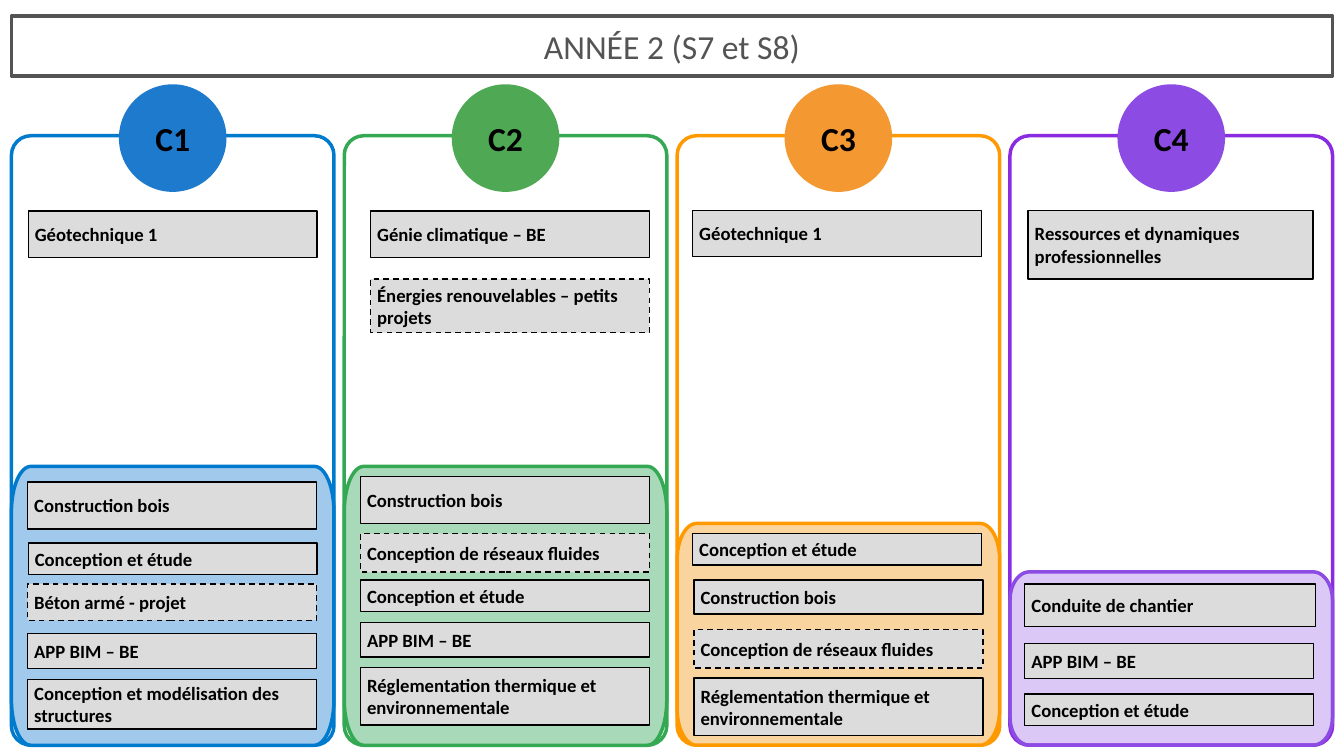
from math import cos, pi, sin

from lxml import etree
from pptx import Presentation
from pptx.dml.color import RGBColor
from pptx.enum.dml import MSO_LINE
from pptx.enum.shapes import MSO_SHAPE
from pptx.enum.text import MSO_ANCHOR, MSO_AUTO_SIZE, PP_ALIGN
from pptx.oxml.ns import qn
from pptx.util import Inches, Pt

RECT, ROUND, OVAL = MSO_SHAPE.RECTANGLE, MSO_SHAPE.ROUNDED_RECTANGLE, MSO_SHAPE.OVAL
LEFT, CENTER = PP_ALIGN.LEFT, PP_ALIGN.CENTER
MIDDLE, FIXED = MSO_ANCHOR.MIDDLE, MSO_AUTO_SIZE.NONE
DASH = MSO_LINE.DASH

WIDE, HIGH = 20, 11.25
EDGE, TOP, BASE = 0.17, 2.02, 11.09
COL_W, DISC = 4.8, 1.57
PITCH = (WIDE - 2 * EDGE - COL_W) / 3
CURVE = 0.29

COLORS = {
    "title": "545454", "black": "000000", "box": "DDDCDC",
    "C1": "007ACC", "C1 disc": "1E7ACC", "C1 pool": "A0C9EB",
    "C2": "34A853", "C2 disc": "4FA954", "C2 pool": "A8DAB9",
    "C3": "FF9900", "C3 disc": "F49831", "C3 pool": "FAD49E",
    "C4": "8A2BE2", "C4 disc": "8C4BE2", "C4 pool": "8C4BE2",
}

# Per column: name, top of the pool, opacity of the pool, and its courses
# as (text, shift from the column's left, top, width, height, dashed).
COLUMNS = [
    ("C1", 6.94, 100, [
        ("Géotechnique 1", 0.25, 3.14, 4.3, 0.69, False),
        ("Construction bois", 0.24, 7.17, 4.3, 0.7, False),
        ("Conception et étude", 0.25, 8.08, 4.3, 0.47, False),
        ("Béton armé - projet", 0.24, 8.69, 4.3, 0.54, True),
        ("APP BIM – BE", 0.24, 9.43, 4.3, 0.52, False),
        ("Conception et modélisation des structures", 0.24, 10.11, 4.3, 0.74, False),
    ]),
    ("C2", 6.94, 100, [
        ("Génie climatique – BE", 0.39, 3.14, 4.15, 0.69, False),
        ("Énergies renouvelables – petits projets", 0.39, 4.15, 4.15, 0.8, True),
        ("Construction bois", 0.24, 7.09, 4.3, 0.7, False),
        ("Conception de réseaux fluides", 0.24, 7.94, 4.3, 0.57, True),
        ("Conception et étude", 0.24, 8.63, 4.3, 0.47, False),
        ("APP BIM – BE", 0.24, 9.26, 4.3, 0.52, False),
        ("Réglementation thermique et environnementale", 0.24, 9.93, 4.3, 0.86, False),
    ]),
    ("C3", 7.79, 100, [
        ("Géotechnique 1", 0.23, 3.13, 4.3, 0.69, False),
        ("Conception et étude", 0.23, 7.94, 4.3, 0.47, False),
        ("Construction bois", 0.25, 8.63, 4.3, 0.51, False),
        ("Conception de réseaux fluides", 0.25, 9.37, 4.3, 0.57, True),
        ("Réglementation thermique et environnementale", 0.25, 10.09, 4.3, 0.86, False),
    ]),
    ("C4", 8.51, 30, [
        ("Ressources et dynamiques professionnelles", 0.27, 3.13, 4.24, 1.02, False),
        ("Conduite de chantier", 0.22, 8.69, 4.33, 0.63, False),
        ("APP BIM – BE", 0.22, 9.58, 4.3, 0.52, False),
        ("Conception et étude", 0.22, 10.33, 4.3, 0.47, False),
    ]),
]


def tint(name):
    return RGBColor.from_string(COLORS[name])


def paint(shape, line, width, fill=None, dashed=False):
    shape.shadow.inherit = False
    if fill:
        shape.fill.solid()
        shape.fill.fore_color.rgb = tint(fill)
    else:
        shape.fill.background()
    shape.line.color.rgb = tint(line)
    shape.line.width = Pt(width)
    if dashed:
        shape.line.dash_style = DASH


def write(shape, text, size=20, color="black", bold=True, align=LEFT, inset=None):
    frame = shape.text_frame
    frame.word_wrap = True
    frame.auto_size = FIXED
    frame.vertical_anchor = MIDDLE
    if inset is not None:
        frame.margin_left = frame.margin_right = Inches(inset)
        frame.margin_top = frame.margin_bottom = Inches(inset)
    line = frame.paragraphs[0]
    line.alignment = align
    run = line.add_run()
    run.text = text
    run.font.name = "Calibri"
    run.font.size = Pt(size)
    run.font.bold = bold
    run.font.color.rgb = tint(color)


def add(slide, kind, x, y, w, h):
    return slide.shapes.add_shape(kind, Inches(x), Inches(y), Inches(w), Inches(h))


def add_title(slide, text):
    title = slide.shapes.title
    title.left, title.top = Inches(EDGE), Inches(0.24)
    title.width, title.height = Inches(WIDE - 2 * EDGE), Inches(0.89)
    paint(title, "title", 3.75)
    write(title, text, size=36, color="title", bold=False, align=CENTER)


def add_frame(slide, name, x):
    frame = add(slide, ROUND, x, TOP, COL_W, BASE - TOP)
    frame.adjustments[0] = CURVE / COL_W
    paint(frame, name, 3.75)


def add_disc(slide, name, x):
    disc = add(slide, OVAL, x + (COL_W - DISC) / 2, 1.27, DISC, DISC)
    paint(disc, name + " disc", 2.25, fill=name + " disc")
    write(disc, name, size=36, align=CENTER, inset=0)


def add_pool(slide, name, x, top, alpha):
    """Shared block at the foot of a column, with tall elliptic corners."""
    rise = 0.163 * (BASE - top)
    right, steps = x + COL_W, 12
    hubs = [(right - CURVE, BASE - rise), (x + CURVE, BASE - rise),
            (x + CURVE, top + rise), (right - CURVE, top + rise)]
    points = []
    for turn, (hub_x, hub_y) in enumerate(hubs):
        for step in range(steps + 1):
            angle = (turn + step / steps) * pi / 2
            points.append((Inches(hub_x + CURVE * cos(angle)),
                           Inches(hub_y + rise * sin(angle))))
    path = slide.shapes.build_freeform(*points[0])
    path.add_line_segments(points[1:], close=True)
    pool = path.convert_to_shape()
    line = name + " disc" if alpha < 100 else name
    paint(pool, line, 3.75, fill=name + " pool")
    if alpha < 100:
        shade = pool.fill._xPr.find(qn("a:solidFill"))[0]
        etree.SubElement(shade, qn("a:alpha"), val=str(alpha * 1000))


def add_course(slide, left, text, shift, top, wide, high, dashed):
    box = add(slide, RECT, left + shift, top, wide, high)
    paint(box, "black", 1.5, fill="box", dashed=dashed)
    write(box, text)


def main():
    deck = Presentation()
    deck.slide_width, deck.slide_height = Inches(WIDE), Inches(HIGH)
    slide = deck.slides.add_slide(deck.slide_layouts[5])
    add_title(slide, "ANNÉE 2 (S7 et S8)")
    for index, (name, top, alpha, courses) in enumerate(COLUMNS):
        x = EDGE + index * PITCH
        add_frame(slide, name, x)
        add_disc(slide, name, x)
        add_pool(slide, name, x, top, alpha)
        for course in courses:
            add_course(slide, x, *course)
    deck.save("out.pptx")


if __name__ == "__main__":
    main()
